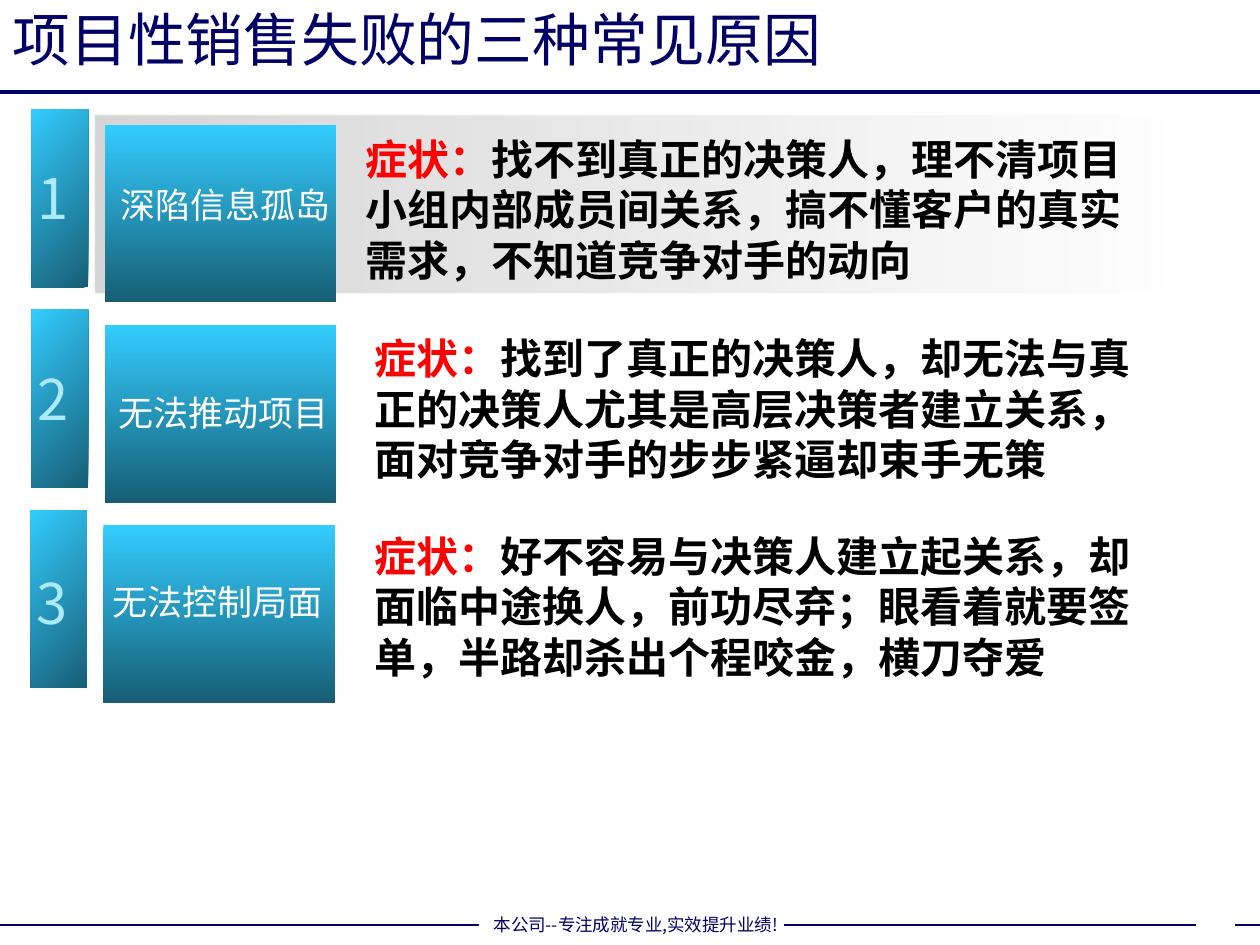
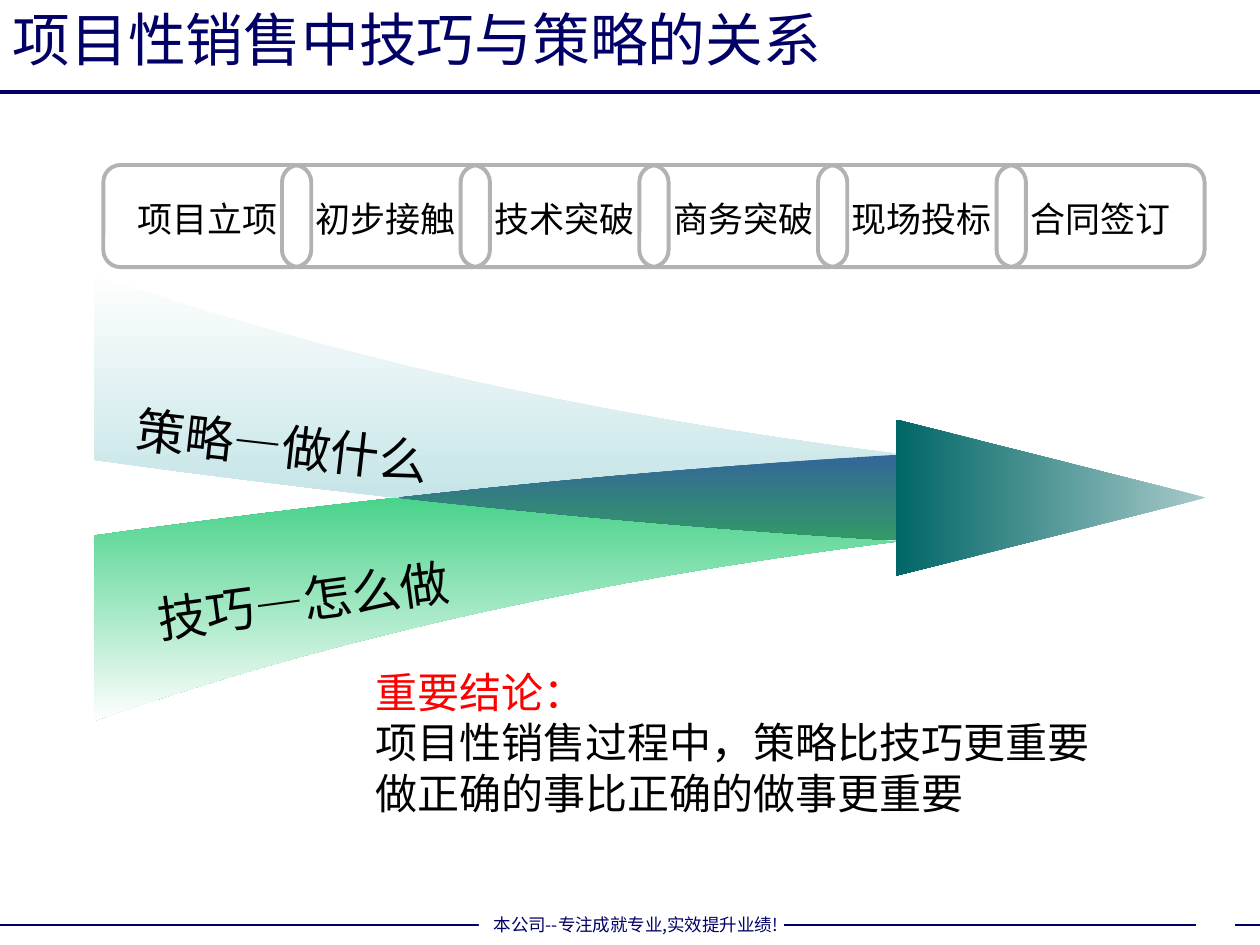
from lxml import etree
from pptx import Presentation
from pptx import util as u
from pptx.dml.color import RGBColor
from pptx.enum import shapes, text
from pptx.oxml import ns

COLORS = {
    "navy": "000066", "white": "FFFFFF", "black": "000000", "red": "FF0000",
    "cyan": "33CCFF", "deep": "175E75", "pale": "ADEAFF", "gray": "757575",
    "outline": "B2B2B2", "snow": "FEFEFE", "green": "26CA74", "mist": "BBE0E3",
    "teal": "006666", "light_teal": "A8CACA", "blue": "336699", "sea": "339966",
}
CJK = "Noto Sans CJK SC"
RECT = shapes.MSO_SHAPE.RECTANGLE
LEFT, CENTER = text.PP_ALIGN.LEFT, text.PP_ALIGN.CENTER
STEPS = 48

# Row offsets are measured from the row's top left corner
REASONS = [
    {"label": "深陷信息孤岛", "label_at": (0.58, 0.52, 1.92), "symptom_at": (2.55, 0.12),
     "number_top": 0.36,
     "symptom": "找不到真正的决策人，理不清项目小组内部成员间关系，搞不懂客户的真实需求，不知道竞争对手的动向"},
    {"label": "无法推动项目", "label_at": (0.58, 0.58, 1.89), "symptom_at": (2.62, 0.11),
     "number_top": 0.36,
     "symptom": "找到了真正的决策人，却无法与真正的决策人尤其是高层决策者建立关系，面对竞争对手的步步紧逼却束手无策"},
    {"label": "无法控制局面", "label_at": (0.51, 0.49, 1.95), "symptom_at": (2.63, 0.09),
     "number_top": 0.39,
     "symptom": "好不容易与决策人建立起关系，却面临中途换人，前功尽弃；眼看着就要签单，半路却杀出个程咬金，横刀夺爱"},
]
STAGES = ["项目立项", "初步接触", "技术突破", "商务突破", "现场投标", "合同签订"]


def rgb(name):
    return RGBColor.from_string(COLORS[name])


def inches(*lengths):
    return [u.Inches(length) for length in lengths]


# Shared drawing helpers
def set_alpha(fill_parent, percent):
    for color in fill_parent.iter(ns.qn("a:srgbClr")):
        etree.SubElement(color, ns.qn("a:alpha"), val=str(percent * 1000))


def paint(shape, fill=None, angle=0, alpha=None, line=None, width=0.75):
    """Fill with one colour name or a pair of them; angle runs clockwise."""
    shape.shadow.inherit = False
    if fill is None:
        shape.fill.background()
    elif isinstance(fill, str):
        shape.fill.solid()
        shape.fill.fore_color.rgb = rgb(fill)
    else:
        shape.fill.gradient()
        shape.fill.gradient_angle = (360 - angle) % 360
        for stop, name in zip(shape.fill.gradient_stops, fill):
            stop.color.rgb = rgb(name)
    if alpha:
        set_alpha(shape._element.spPr, alpha)
    if line:
        shape.line.color.rgb = rgb(line)
        shape.line.width = u.Pt(width)
    else:
        shape.line.fill.background()


def add_box(slide, box, kind=RECT, **style):
    shape = slide.shapes.add_shape(kind, *inches(*box))
    paint(shape, **style)
    return shape


def add_line(slide, start, end, top, width):
    line = slide.shapes.add_connector(
        shapes.MSO_CONNECTOR.STRAIGHT, *inches(start, top, end, top))
    line.line.color.rgb = rgb("navy")
    line.line.width = u.Pt(width)
    etree.SubElement(line._element.spPr, ns.qn("a:effectLst"))


def write(shape, paragraphs, size, align=LEFT, font=CJK, bold=False,
          wrap=True, anchor=text.MSO_ANCHOR.TOP):
    """Each paragraph is a list of (words, colour name) pairs."""
    frame = shape.text_frame
    frame.word_wrap = wrap
    frame.auto_size = text.MSO_AUTO_SIZE.NONE
    frame.vertical_anchor = anchor
    frame.margin_left = frame.margin_right = u.Inches(0.1)
    frame.margin_top, frame.margin_bottom = inches(0.07, 0.03)
    for index, spans in enumerate(paragraphs):
        para = frame.add_paragraph() if index else frame.paragraphs[0]
        para.alignment = align
        para.line_spacing = u.Pt(size * 1.2)
        para.space_before = u.Pt(0)
        for words, color in spans:
            span = para.add_run()
            span.text = words
            span.font.size = u.Pt(size)
            span.font.bold = bold
            span.font.color.rgb = rgb(color)
            span.font.name = font
            latin = span.font._element.find(ns.qn("a:latin"))
            latin.addnext(etree.Element(ns.qn("a:ea"), typeface=CJK))


def add_text(slide, box, paragraphs, size, **style):
    shape = slide.shapes.add_textbox(*inches(*box))
    write(shape, paragraphs, size, **style)
    return shape


def add_text_shadow(shape):
    for fill in shape._element.txBody.iter(ns.qn("a:solidFill")):
        effects = etree.Element(ns.qn("a:effectLst"))
        shadow = etree.SubElement(effects, ns.qn("a:outerShdw"),
                                  dist="17961", dir="2700000")
        etree.SubElement(shadow, ns.qn("a:srgbClr"), val=COLORS["black"])
        fill.addnext(effects)


def add_outline(slide, points, fill, angle=90):
    (left, top), *rest = points
    builder = slide.shapes.build_freeform(*inches(left, top), scale=1.0)
    builder.add_line_segments([inches(*point) for point in rest], close=True)
    paint(builder.convert_to_shape(), fill, angle)


# Title, rule and footer of every slide
def start_slide(deck, title):
    slide = deck.slides.add_slide(deck.slide_layouts[5])
    add_line(slide, 0, 10, 0.73, 2.25)
    add_line(slide, 0, 3.9, 7.34, 1)
    footer = add_box(slide, (3.8, 7.18, 2.49, 0.27), fill="white")
    write(footer, [[("本公司--专注成就专业,实效提升业绩!", "navy")]], 10,
          align=CENTER, wrap=False, anchor=text.MSO_ANCHOR.MIDDLE)
    add_line(slide, 6.22, 9.49, 7.34, 1)
    add_line(slide, 9.8, 10, 7.34, 1)
    heading = slide.shapes.title
    heading.left, heading.top, heading.width, heading.height = inches(0, 0, 9.57, 0.57)
    write(heading, [[(title, "navy")]], 33, anchor=text.MSO_ANCHOR.MIDDLE)
    return slide


# One numbered reason with its symptom
def add_reason(slide, left, top, number, reason):
    add_box(slide, (left, top, 0.45, 1.41), fill=("deep", "cyan"), angle=225)
    add_text(slide, (left - 0.05, top + reason["number_top"], 0.45, 0.64),
             [[(str(number), "pale")]], 32, wrap=False)
    band_fill = ("white", "gray") if number == 1 else "white"
    band = add_box(slide, (left + 0.5, top + 0.04, 8.62, 1.42), fill=band_fill,
                   angle=180, alpha=30, line="white")
    set_alpha(band.line._ln, 80)
    for color in band.line._ln.iter(ns.qn("a:srgbClr")):
        for extra in color[:-1]:
            color.remove(extra)
    add_box(slide, (left + 0.58, top + 0.12, 1.84, 1.41),
            fill=("cyan", "deep"), angle=90)
    dx, dy, width = reason["label_at"]
    label = add_text(slide, (left + dx, top + dy, width, 0.44),
                     [[(reason["label"], "white")]], 20, align=CENTER)
    add_text_shadow(label)
    dx, dy = reason["symptom_at"]
    add_text(slide, (left + dx, top + dy, 6.38, 1.3),
             [[("症状：", "red"), (reason["symptom"], "black")]], 24, bold=True)


def reasons_slide(deck):
    slide = start_slide(deck, "项目性销售失败的三种常见原因")
    for index, reason in enumerate(REASONS):
        left = 0.25 if index < 2 else 0.24
        add_reason(slide, left, 0.87 + 1.59 * index, index + 1, reason)


# Chain of overlapping sales stages
def add_stages(slide, left, top):
    for index, stage in enumerate(STAGES):
        shape = add_box(slide, (left + 1.418 * index, top, 1.65, 0.81),
                        kind=shapes.MSO_SHAPE.ROUNDED_RECTANGLE,
                        line="outline", width=2.25)
        shape.adjustments[0] = 0.167
        write(shape, [[(stage, "black")]], 20, align=CENTER, font="Arial",
              wrap=False, anchor=text.MSO_ANCHOR.MIDDLE)


def curve(start, control, end):
    """Points of a quadratic curve."""
    shares = [step / STEPS for step in range(STEPS + 1)]
    return [tuple((1 - t) ** 2 * a + 2 * t * (1 - t) * b + t * t * c
                  for a, b, c in zip(start, control, end)) for t in shares]


# Two tapering streams that merge into an arrow
def add_streams(slide, left, top):
    axis = top + 1.77
    neck = left + 6.36
    outer = curve((left, top), (left + 2.82, top + 0.98), (neck, axis - 0.35))
    inner = curve((left, axis - 0.3), (left + 3.24, axis + 0.15), (neck, axis + 0.34))

    def mirror(points):
        return [(x, 2 * axis - y) for x, y in points]

    strategy = outer + inner[::-1]
    shared = [point for point in inner if point[1] >= axis]
    add_outline(slide, mirror(strategy), ("green", "snow"))
    add_outline(slide, [(neck, axis - 0.62), (neck, axis + 0.62), (neck + 2.46, axis)],
                ("light_teal", "teal"), 180)
    add_outline(slide, strategy, ("snow", "mist"))
    add_outline(slide, shared + mirror(shared)[::-1], ("blue", "sea"))
    for words, dx, dy, turn in [("策略—做什么", 0.23, 1.06, 6.5),
                                ("技巧—怎么做", 0.39, 2.26, 352.4)]:
        name = add_text(slide, (left + dx, top + dy, 2.76, 0.57),
                        [[(words, "black")]], 28, font="Arial")
        name.rotation = turn


def relation_slide(deck):
    slide = start_slide(deck, "项目性销售中技巧与策略的关系")
    add_streams(slide, 0.75, 2.18)
    add_text(slide, (2.88, 5.22, 5.86, 1.3),
             [[("重要结论：", "red")],
              [("项目性销售过程中，策略比技巧更重要", "black")],
              [("做正确的事比正确的做事更重要", "black")]],
             24, font="Arial", wrap=False)
    add_stages(slide, 0.82, 1.31)


def main():
    deck = Presentation()
    deck.slide_width, deck.slide_height = inches(10, 7.5)
    reasons_slide(deck)
    relation_slide(deck)
    deck.save("out.pptx")


if __name__ == "__main__":
    main()
